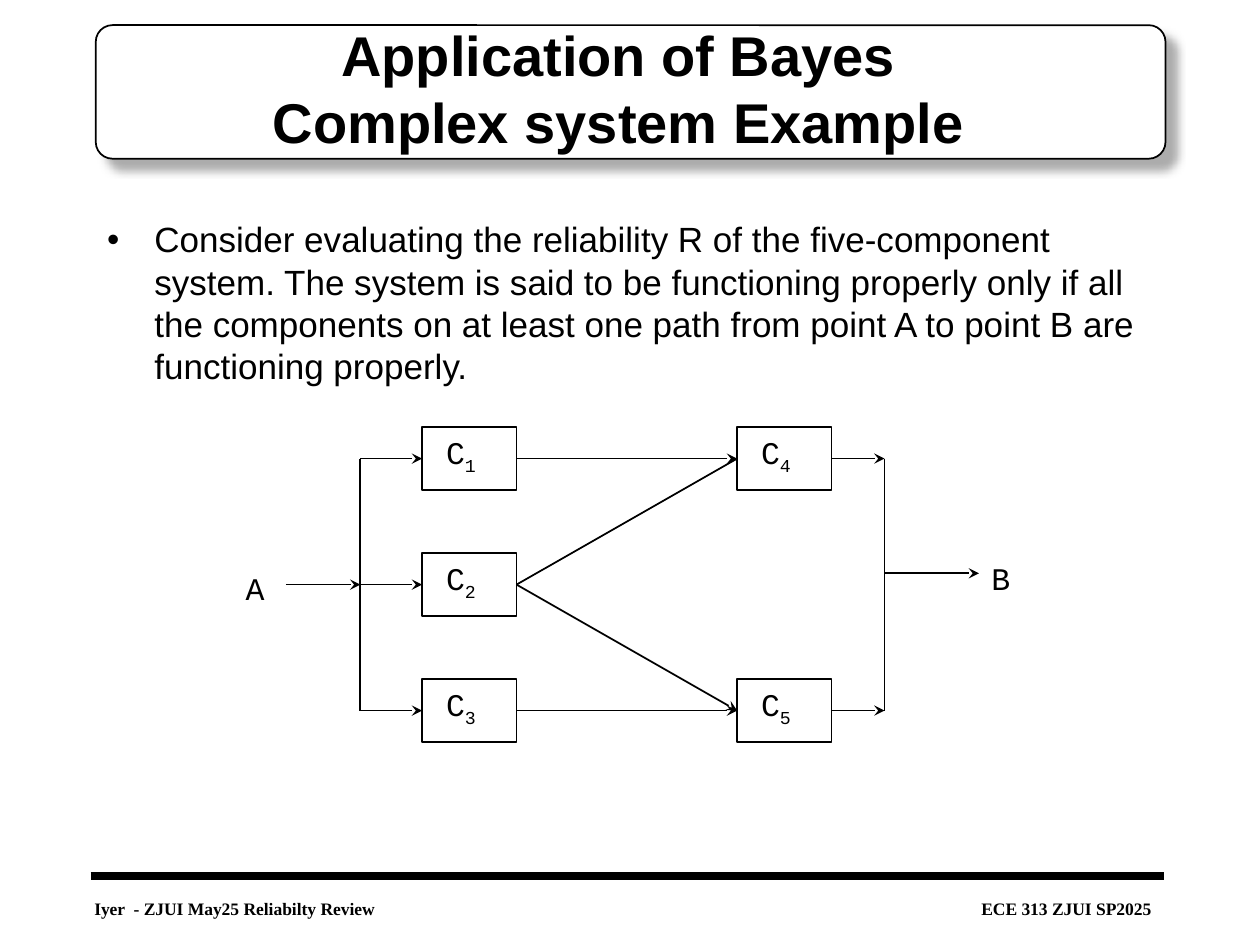
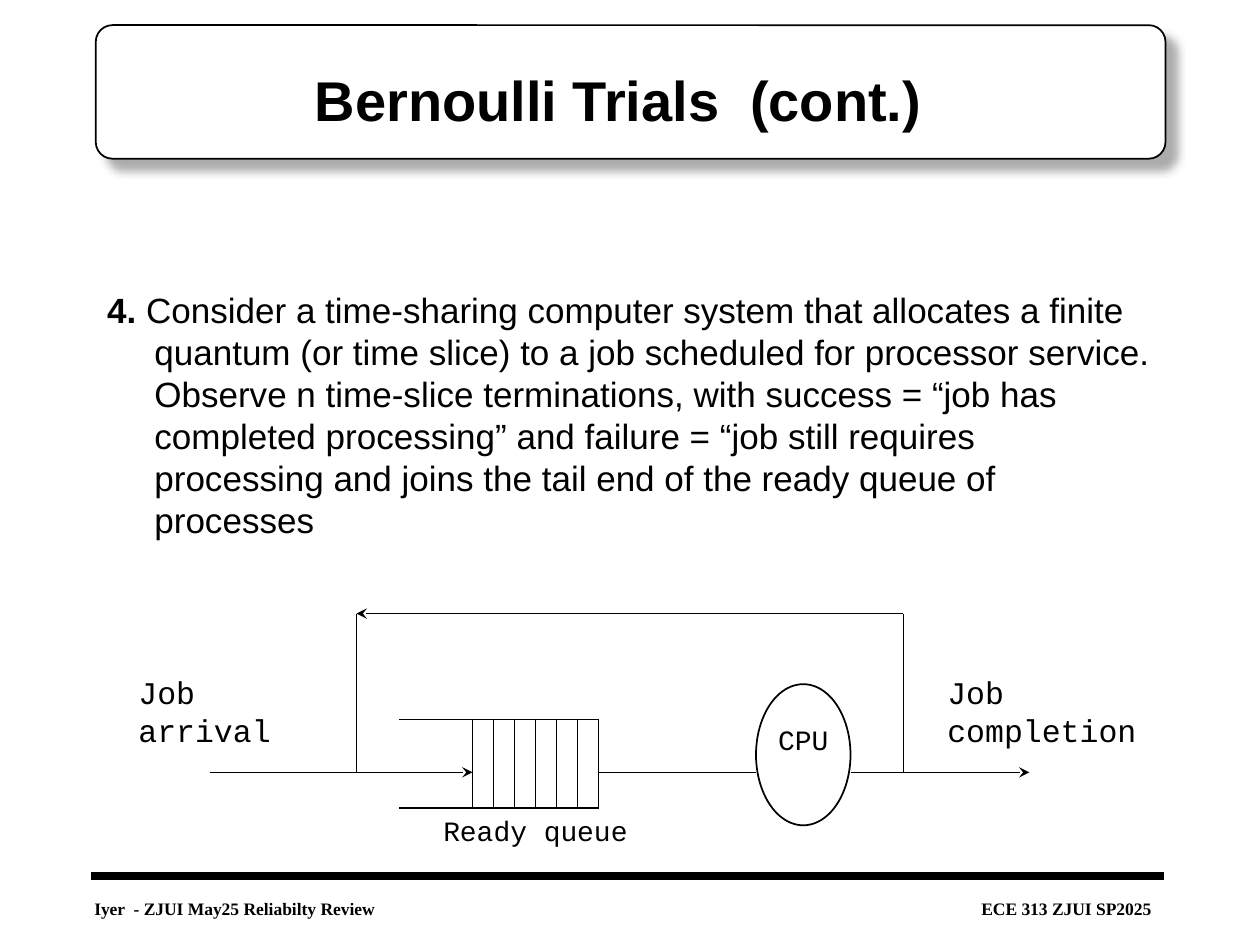
from lxml import etree
from pptx import Presentation
from pptx.dml.color import RGBColor
from pptx.enum import shapes, text
from pptx.oxml import ns
from pptx.util import Inches, Pt

COLORS = {"ink": "000000", "paper": "FFFFFF", "shadow": "919191"}
SANS, MONO, SERIF = "Arial", "Courier New", "Times New Roman"


def rgb(name):
    return RGBColor.from_string(COLORS[name])


def add_text(p, content, size=18, font=MONO, bold=False, baseline=None):
    for i, line in enumerate(content.split("\n")):
        if i:
            p.add_line_break()
        r = p.add_run()
        r.text = line
        r.font.size = Pt(size)
        r.font.name = font
        r.font.bold = bold
        r.font.color.rgb = rgb("ink")
        if baseline:
            r.font._element.set("baseline", str(baseline * 1000))


def add_label(s, x, y, w, h, content, **fmt):
    sp = s.shapes.add_textbox(Inches(x), Inches(y), Inches(w), Inches(h))
    sp.text_frame.word_wrap = False
    add_text(sp.text_frame.paragraphs[0], content, **fmt)
    return sp


def add_outline(s, kind, x, y, w, h, fill=None):
    sp = s.shapes.add_shape(kind, Inches(x), Inches(y), Inches(w), Inches(h))
    sp.shadow.inherit = False
    if fill:
        sp.fill.solid()
        sp.fill.fore_color.rgb = rgb(fill)
    else:
        sp.fill.background()
    sp.line.color.rgb = rgb("ink")
    sp.line.width = Pt(1)
    return sp


def add_line(s, x1, y1, x2, y2, arrow=False, width=1):
    cx = s.shapes.add_connector(shapes.MSO_CONNECTOR.STRAIGHT,
                                Inches(x1), Inches(y1), Inches(x2), Inches(y2))
    cx.line.color.rgb = rgb("ink")
    cx.line.width = Pt(width)
    if arrow:
        ln = cx.line._get_or_add_ln()
        etree.SubElement(ln, ns.qn("a:tailEnd"), type="stealth")
    etree.SubElement(cx._element.spPr, ns.qn("a:effectLst"))
    return cx


def add_shadow(sp):
    effects = sp._element.spPr.find(ns.qn("a:effectLst"))
    shadow = etree.SubElement(effects, ns.qn("a:outerShdw"), blurRad=str(Pt(5)),
                              dist=str(Pt(8.5)), dir="2700000", algn="tl", rotWithShape="0")
    color = etree.SubElement(shadow, ns.qn("a:srgbClr"), val=COLORS["shadow"])
    etree.SubElement(color, ns.qn("a:alpha"), val="75000")


def add_frame(s):
    banner = add_outline(s, shapes.MSO_SHAPE.ROUNDED_RECTANGLE, 0.76, 0.2, 8.49, 1.06, "paper")
    banner.adjustments[0] = 0.125
    add_shadow(banner)
    rule = add_line(s, 0.72, 6.95, 9.24, 6.95, width=4.5)
    footer = {"size": 10, "font": SERIF, "bold": True}
    author = add_label(s, 0.65, 7.08, 2.46, 0.27, "Iyer  - ZJUI May25 Reliabilty Review", **footer)
    course = add_label(s, 7.69, 7.08, 1.65, 0.27, "ECE 313 ZJUI SP2025", **footer)
    for i, sp in enumerate((banner, rule, author, course)):
        sp._element.xpath(".//p:cNvPr")[0].set("id", str(100 + i))
        s.slide_layout.shapes.element.append(sp._element)


def place(sp, x, y, w, h):
    sp.left, sp.top, sp.width, sp.height = (Inches(v) for v in (x, y, w, h))
    sp.text_frame.auto_size = text.MSO_AUTO_SIZE.NONE
    return sp.text_frame


def set_title(s, content, y):
    tf = place(s.shapes.title, 0.66, y, 8.5, 1.39 - y)
    tf.vertical_anchor = text.MSO_ANCHOR.MIDDLE
    p = tf.paragraphs[0]
    p.alignment = text.PP_ALIGN.CENTER
    add_text(p, content, size=32, font=SANS, bold=True)


def set_body(s, content, y, h, number=None):
    tf = place(s.placeholders[1], 0.75, y, 8.5, h)
    p = tf.paragraphs[0]
    if number:
        etree.SubElement(p._p.get_or_add_pPr(), ns.qn("a:buNone"))
        add_text(p, number, size=20, font=SANS, bold=True)
    add_text(p, content, size=20, font=SANS)
    return tf


def add_component(s, x, y, number):
    sp = add_outline(s, shapes.MSO_SHAPE.RECTANGLE, x, y - 0.25, 0.75, 0.5)
    tf = sp.text_frame
    tf.margin_left = Inches(0.19)
    tf.vertical_anchor = text.MSO_ANCHOR.TOP
    tf.word_wrap = False
    p = tf.paragraphs[0]
    p.alignment = text.PP_ALIGN.LEFT
    add_text(p, "C")
    add_text(p, str(number), baseline=-25)


def draw_reliability_network(s):
    top, middle, bottom = rows = 3.64, 4.64, 5.64
    first, second, w = 3.35, 5.85, 0.75
    split, join = 2.86, 7.02
    for number, y in enumerate(rows, 1):
        add_component(s, first, y, number)
        add_line(s, split, y, first, y, arrow=True)
    for number, y in ((4, top), (5, bottom)):
        add_component(s, second, y, number)
        add_line(s, first + w, y, second, y, arrow=True)
        add_line(s, first + w, middle, second, y, arrow=y == bottom)
        add_line(s, second + w, y, join, y, arrow=True)
    for x in (split, join):
        add_line(s, x, top, x, bottom)
    add_line(s, 2.27, middle, split, middle, arrow=True)
    add_line(s, join, 4.55, 7.77, 4.55, arrow=True)
    add_label(s, 1.85, 4.47, 0.35, 0.4, "A")
    add_label(s, 7.77, 4.39, 0.35, 0.4, "B")


def draw_ready_queue(s):
    top, bottom, flow, feedback = 5.71, 6.41, 6.13, 4.87
    head, tail, slots = 3.75, 4.75, 6
    back, leave = 2.83, 7.17
    for y in (top, bottom):
        add_line(s, 3.17, y, tail, y)
    for i in range(slots + 1):
        x = head + i * (tail - head) / slots
        add_line(s, x, top, x, bottom)

    cpu = add_outline(s, shapes.MSO_SHAPE.OVAL, 6, 5.43, 0.75, 1.12)
    tf = cpu.text_frame
    tf.margin_left = tf.margin_right = 0
    tf.margin_top = Inches(0.14)
    tf.vertical_anchor = text.MSO_ANCHOR.TOP
    tf.word_wrap = False
    tf.paragraphs[0].alignment = text.PP_ALIGN.CENTER
    add_text(tf.paragraphs[0], "CPU", size=16)

    add_line(s, 1.67, flow, head, flow, arrow=True)
    add_line(s, tail, flow, 6, flow)
    add_line(s, 6.75, flow, 8.17, flow, arrow=True)
    for x in (back, leave):
        add_line(s, x, feedback, x, flow)
    add_line(s, leave, feedback, back, feedback, arrow=True)
    add_label(s, 1, 5.29, 1.84, 0.67, "Job\narrival")
    add_label(s, 7.42, 5.29, 2.29, 0.67, "Job\ncompletion")
    add_label(s, 3.42, 6.41, 1.67, 0.4, "Ready queue", size=16)


def main():
    prs = Presentation()
    prs.slide_width, prs.slide_height = Inches(10), Inches(7.5)
    layout = prs.slide_layouts[1]

    s = prs.slides.add_slide(layout)
    add_frame(s)
    set_title(s, "Application of Bayes\nComplex system Example", 0)
    set_body(s, "Consider evaluating the reliability R of the five-component system. "
             "The system is said to be functioning properly only if all the components "
             "on at least one path from point A to point B are functioning properly.", 1.68, 5.11)
    draw_reliability_network(s)

    s = prs.slides.add_slide(layout)
    set_title(s, "Bernoulli Trials  (cont.)", 0.18)
    tf = set_body(s, " Consider a time-sharing computer system that allocates a finite quantum "
                  "(or time slice) to a job scheduled for processor service. Observe n time-slice "
                  "terminations, with success = “job has completed processing” and failure = "
                  "“job still requires processing and joins the tail end of the ready queue of "
                  "processes", 1.36, 5.44, number="4.")
    tf.margin_top = Inches(0.93)
    draw_ready_queue(s)

    prs.save("out.pptx")


if __name__ == "__main__":
    main()
